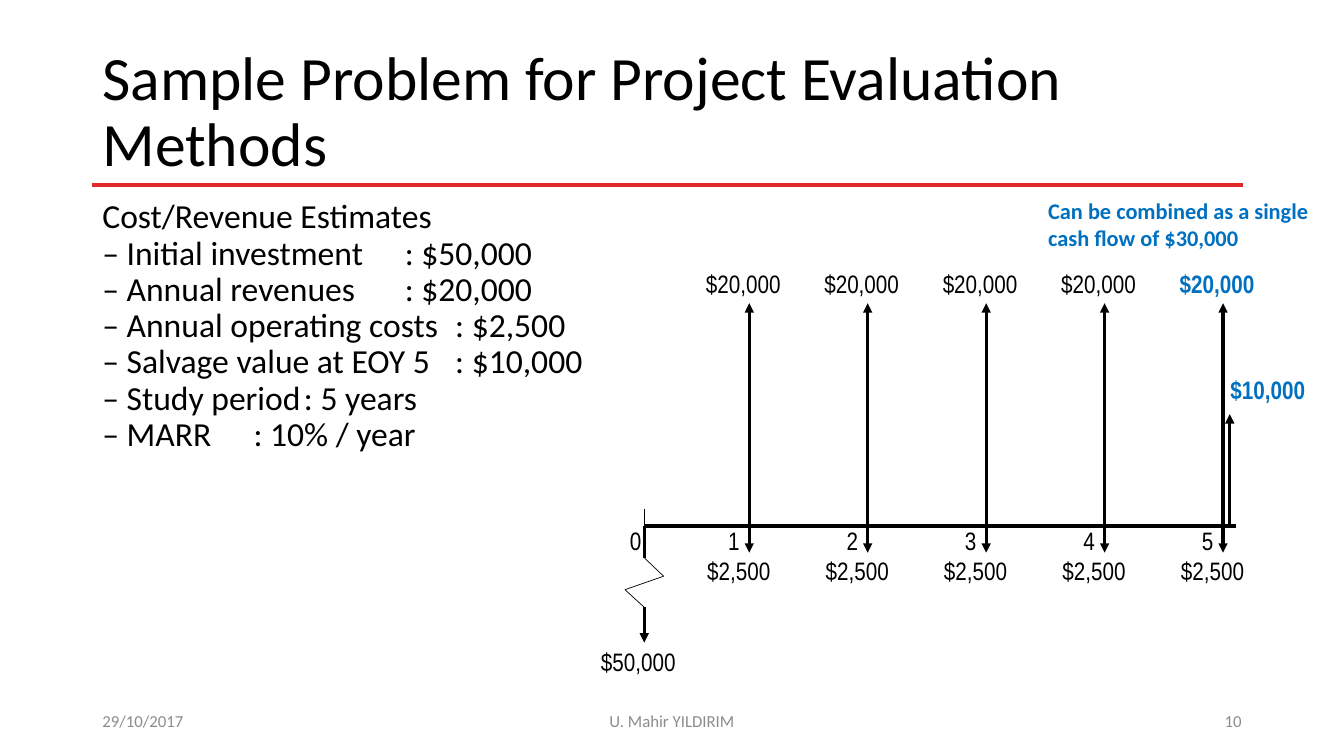
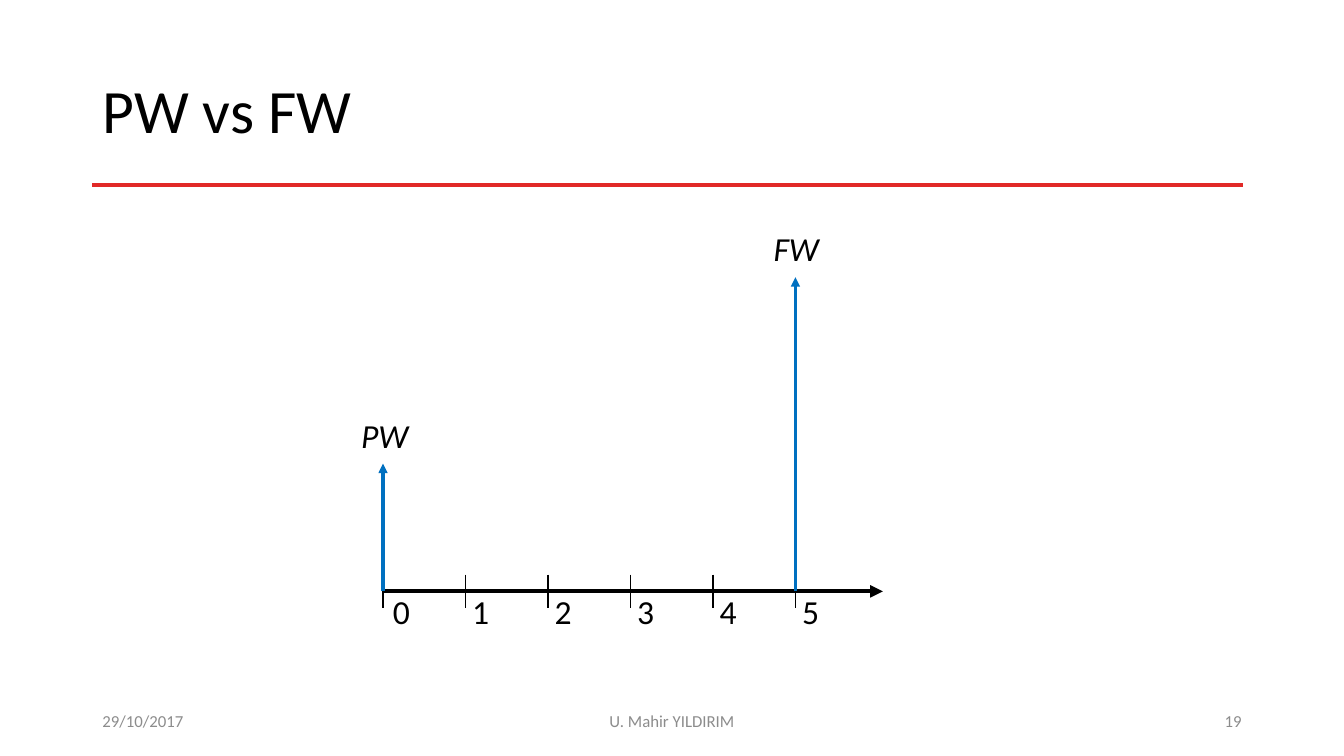
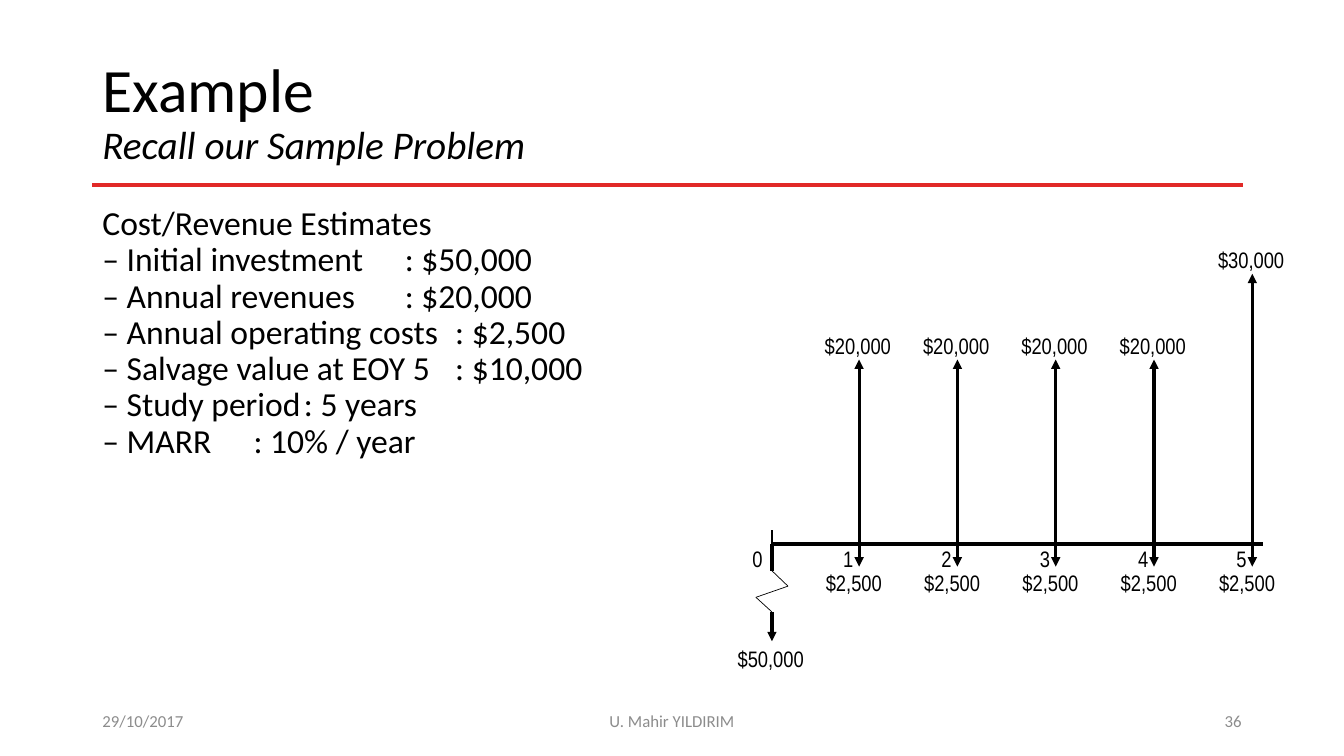
import pptx
import pptx.dml.color
import pptx.enum.shapes
import pptx.enum.text
import pptx.oxml.ns
import pptx.oxml.xmlchemy
import pptx.util

COLORS = {"black": "000000", "red": "E12927", "blue": "0070C0", "grey": "8C8C8C"}
ALIGN = pptx.enum.text.PP_ALIGN
ANCHOR = pptx.enum.text.MSO_ANCHOR

presentation = pptx.Presentation()
presentation.slide_width = pptx.util.Inches(13.33)
presentation.slide_height = pptx.util.Inches(7.5)

# All lengths below count columns and rows of a 160 x 90 grid.
COLUMN = presentation.slide_width / 160
ROW = presentation.slide_height / 90
LEFT, CONTENT_WIDTH = 11, 138


def write_text(slide, text, left, top, width=12.7, height=4.8, size=24, font="Calibri",
               color="black", bold=False, italic=False, align=ALIGN.LEFT,
               anchor=ANCHOR.TOP, line_spacing=1.0):
    """Add a text box, one paragraph per line of text, and return its frame."""
    shape = slide.shapes.add_textbox(round(left * COLUMN), round(top * ROW),
                                     round(width * COLUMN), round(height * ROW))
    frame = shape.text_frame
    frame.text = text
    frame.word_wrap = True
    frame.vertical_anchor = anchor
    for paragraph in frame.paragraphs:
        paragraph.alignment = align
        paragraph.line_spacing = line_spacing
        for run in paragraph.runs:
            run.font.name = font
            run.font.size = pptx.util.Pt(size)
            run.font.bold = bold
            run.font.italic = italic
            run.font.color.rgb = pptx.dml.color.RGBColor.from_string(COLORS[color])
    return frame


def draw_line(slide, start, end, weight=2.25, color="black", arrow=False):
    """Draw a straight line, with an arrowhead at its end if arrow is set."""
    connector = slide.shapes.add_connector(
        pptx.enum.shapes.MSO_CONNECTOR.STRAIGHT,
        round(start[0] * COLUMN), round(start[1] * ROW),
        round(end[0] * COLUMN), round(end[1] * ROW))
    connector.line.width = pptx.util.Pt(weight)
    connector.line.color.rgb = pptx.dml.color.RGBColor.from_string(COLORS[color])
    properties = connector._element.spPr
    if arrow:
        head = pptx.oxml.xmlchemy.OxmlElement("a:tailEnd")
        head.set("type", "triangle")
        properties.find(pptx.oxml.ns.qn("a:ln")).append(head)
    properties.append(pptx.oxml.xmlchemy.OxmlElement("a:effectLst"))


# Titles, rule and footers of every slide
slides = []
title_frames = []
for title, number in [("Sample Problem for Project Evaluation Methods", "10"),
                      ("PW vs FW", "19"),
                      ("Example\nRecall our Sample Problem", "36")]:
    slide = presentation.slides.add_slide(presentation.slide_layouts[6])
    slides.append(slide)
    draw_line(slide, (LEFT, 22), (148, 22), weight=3, color="red")
    title_frames.append(write_text(slide, title, LEFT, 4.8, CONTENT_WIDTH, 17.4, size=44,
                                   anchor=ANCHOR.MIDDLE, line_spacing=0.9))
    for text, left, width, align in [("29/10/2017", LEFT, 36, ALIGN.LEFT),
                                     ("U. Mahir YILDIRIM", 53, 54, ALIGN.CENTER),
                                     (number, 113, 36, ALIGN.RIGHT)]:
        write_text(slide, text, left, 83.4, width, size=12, color="grey",
                   align=align, anchor=ANCHOR.MIDDLE)
problem_slide, worth_slide, example_slide = slides

subtitle_font = title_frames[2].paragraphs[1].runs[0].font
subtitle_font.size = pptx.util.Pt(28)
subtitle_font.italic = True

# Problem data and its cash flow diagram, at full and at reduced scale
ESTIMATES = """Cost/Revenue Estimates
– Initial investment \t: $50,000
– Annual revenues\t: $20,000
– Annual operating costs\t: $2,500
– Salvage value at EOY 5\t: $10,000
– Study period\t: 5 years
– MARR\t: 10% / year"""
BREAK_POINTS = [(0, 3.8), (2.3, 6), (-2.3, 7.6), (0, 9.7)]

diagrams = [
    {"slide": problem_slide, "text_top": 23.2, "origin": 76.7, "axis": 62.6, "scale": 1,
     "size": 18, "zero_shift": -2.9, "last": ("$20,000", 26.5, "blue", True)},
    {"slide": example_slide, "text_top": 24, "origin": 91.9, "axis": 64.8, "scale": 0.83,
     "size": 16, "zero_shift": -3.5, "last": ("$30,000", 38.8, "black", False)},
]
for diagram in diagrams:
    slide, scale = diagram["slide"], diagram["scale"]
    origin, axis = diagram["origin"], diagram["axis"]
    label = {"font": "Arial Narrow", "size": diagram["size"]}
    periods = [origin + scale * (12.5 + 14.1 * step) for step in range(5)]

    write_text(slide, ESTIMATES, LEFT, diagram["text_top"], CONTENT_WIDTH, 57,
               line_spacing=0.9)
    draw_line(slide, (origin, axis), (periods[-1] + 1.6 * scale, axis), weight=3)
    for x in [origin, *periods]:
        draw_line(slide, (x, axis - 2 * scale), (x, axis + 2 * scale), weight=1)

    # Initial investment: a broken arrow
    write_text(slide, "0", origin + diagram["zero_shift"], axis - 0.6 * scale, 6, **label)
    points = [(origin + x * scale, axis + y * scale) for x, y in BREAK_POINTS]
    draw_line(slide, (origin, axis), points[0])
    for start, end in zip(points, points[1:]):
        draw_line(slide, start, end, weight=0.5)
    draw_line(slide, points[-1], (origin, axis + 13.9 * scale), arrow=True)
    write_text(slide, "$50,000", origin - 6.35 * scale, axis + 13.8 * scale, **label)

    # Yearly costs below the axis, revenues above it
    revenues = [("$20,000", 26.5, "black", False)] * 4 + [diagram["last"]]
    for year, (x, revenue) in enumerate(zip(periods, revenues), start=1):
        amount, length, color, bold = revenue
        tip = axis - length * scale
        write_text(slide, str(year), x - 3.7 * scale, axis - 0.6 * scale, 6, **label)
        draw_line(slide, (x, axis), (x, axis + 3.2 * scale), arrow=True)
        write_text(slide, "$2,500", x - 6.2 * scale, axis + 2.9 * scale, **label)
        draw_line(slide, (x, axis), (x, tip), arrow=True)
        write_text(slide, amount, x - 6.35 * scale, tip - 4.7 * scale,
                   color=color, bold=bold, **label)

# Salvage value beside the last revenue
draw_line(problem_slide, (146.4, 62.6), (146.4, 49.3), arrow=True)
write_text(problem_slide, "$10,000", 145.3, 44, size=18, font="Arial Narrow",
           color="blue", bold=True)
write_text(problem_slide, "Can be combined as a single cash flow of $30,000",
           123.6, 22.9, 35.2, 7.7, size=16, color="blue", bold=True)

# Present worth and future worth on one time line
origin, axis, pitch = 45.6, 70.4, 9.82
draw_line(worth_slide, (origin, axis), (105.1, axis), weight=3, arrow=True)
for period in range(6):
    x = origin + period * pitch
    draw_line(worth_slide, (x, axis - 2), (x, axis + 2), weight=1)
    write_text(worth_slide, str(period), x - (0.4 if period else 0), axis - 0.7, 4.2, 6)
for name, period, length in [("PW", 0, 15.2), ("FW", 5, 37.4)]:
    x, tip = origin + period * pitch, axis - length
    draw_line(worth_slide, (x, axis), (x, tip), color="blue", arrow=True)
    write_text(worth_slide, name, x - 3.8, tip - 6.4, 14, 6, italic=True)

presentation.save("out.pptx")
